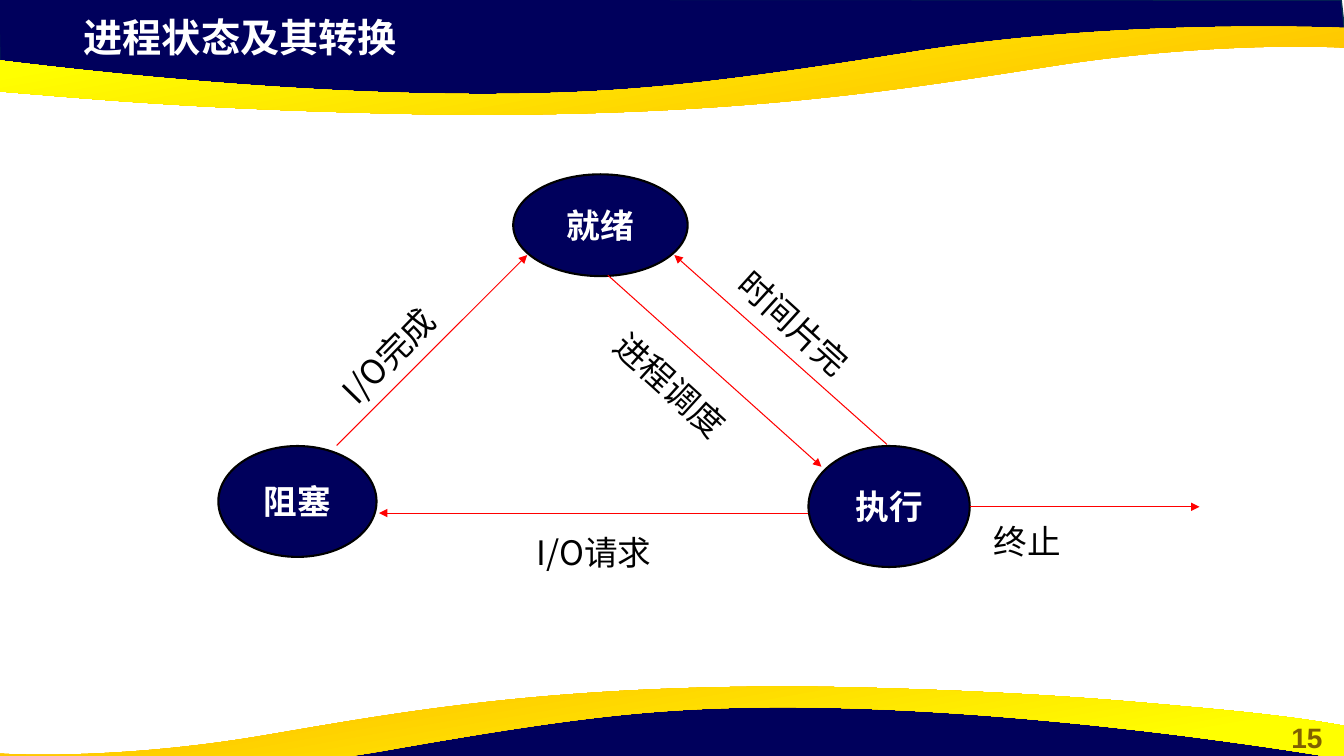
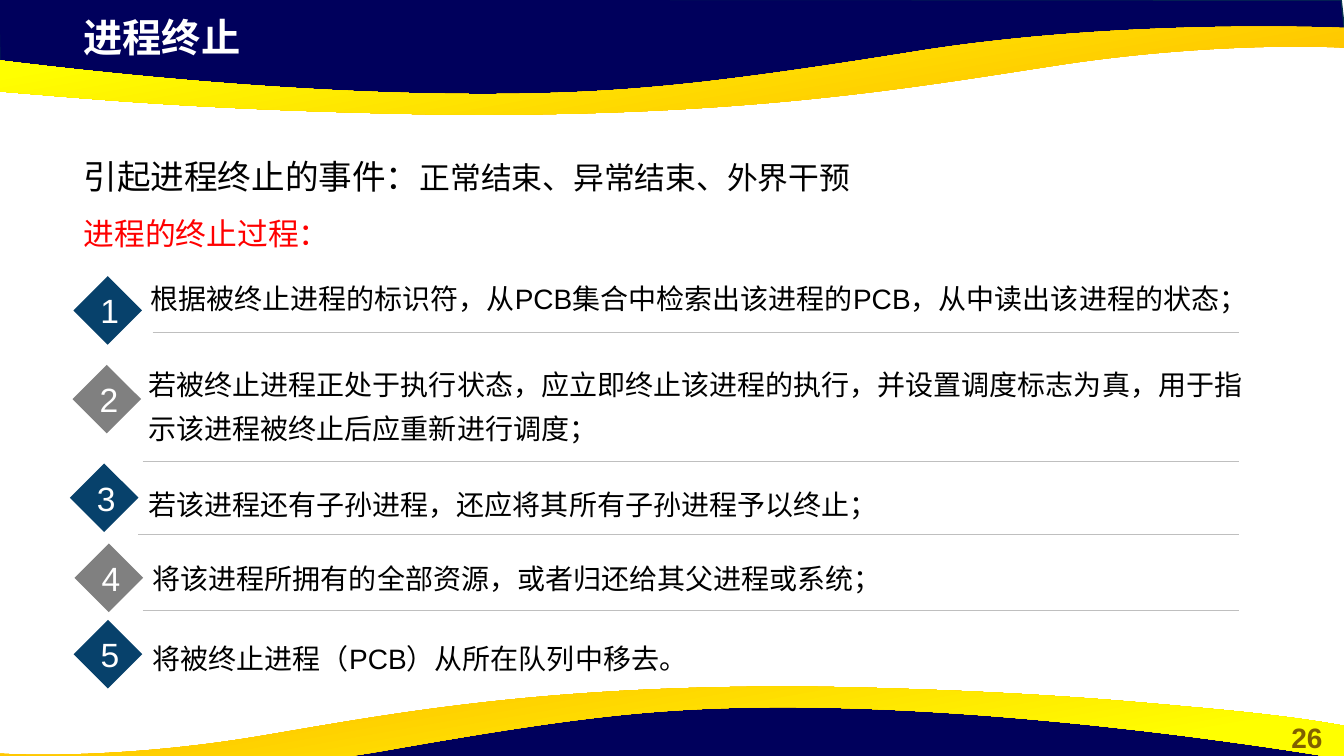
from lxml import etree
from pptx import Presentation
from pptx.dml.color import RGBColor
from pptx.enum.shapes import MSO_CONNECTOR, MSO_SHAPE
from pptx.enum.text import MSO_ANCHOR, PP_ALIGN
from pptx.oxml.ns import qn
from pptx.util import Pt

STRAIGHT = MSO_CONNECTOR.STRAIGHT
ELLIPSE, DIAMOND = MSO_SHAPE.OVAL, MSO_SHAPE.DIAMOND
TOP, MIDDLE, BOTTOM = MSO_ANCHOR.TOP, MSO_ANCHOR.MIDDLE, MSO_ANCHOR.BOTTOM
LEFT, CENTER = PP_ALIGN.LEFT, PP_ALIGN.CENTER

COLORS = {
    "navy": "00005C", "navy_edge": "05304F", "orange": "FFC000", "yellow": "FFFF00",
    "number": "806000", "white": "FFFFFF", "black": "000000", "red": "FF0000",
    "blue": "07416B", "gray": "808080", "rule": "BFBFBF",
}
LATIN, CHINESE = "Arial", "Noto Sans CJK SC"
SLIDE_WIDTH, SLIDE_HEIGHT = 960, 540
DIAMOND_SIZE = 49
RULE_RIGHT = 885.2

# An outline is a list of segments, each a list of points:
# one point gives a straight line, three give a cubic curve.
NAVY_BAND = [
    [(-1, -1)], [(0, 50)], [(211, 73)], [(402, 72)], [(572, 63)], [(732, 36)],
    [(891, 24)], [(961, 27)], [(958, 0)],
]
GOLD_BAND = [
    [(348, 82)],
    [(319, 82), (289, 81.5), (256.5, 80.5)],
    [(148.5, 77.5), (79, 72), (26, 67.5)],
    [(-63.5, 60.5), (-93.5, 54), (-96, 54)],
    [(-96, 30)],
    [(-96, 30), (157, 70.5), (372, 67)],
    [(451, 65.5), (510, 60), (659, 36)],
    [(807, 13), (960, 20), (960, 20)],
    [(960, 34)],
    [(957.5, 34)],
    [(939.5, 33), (860.5, 31), (759.5, 46)],
    [(661, 61), (548.5, 81.5), (348, 82)],
]

STATES = [
    ("就绪", 366.6, 124.5, 124.6, 72.7),
    ("执行", 577.5, 318.6, 115.2, 86.4),
    ("阻塞", 156, 318.6, 113, 79.2),
]
# Start, end, line width
TRANSITIONS = [
    ((633.6, 317.5), (481.7, 182.2), 0.75),
    ((434.2, 196.6), (586.8, 333.4), 0.75),
    ((240.5, 318.2), (376.6, 182.2), 0.75),
    ((577.4, 366.5), (270.7, 366.5), 0.5),
    ((692.6, 362), (856.8, 362), 0.75),
]
# Text, left, top, width, rotation
TRANSITION_LABELS = [
    ("I/O完成", 223.5, 222, 135.4, 314.3),
    ("I/O请求", 376.2, 376.6, 162.7, 0),
    ("进程调度", 417.6, 272.9, 158.4, 42.2),
    ("时间片完", 507.8, 223.9, 142.6, 42.4),
    ("终止", 702.7, 368.6, 115.2, 0),
]
# Text, text box, diamond corner, line spacing, start of the rule below
STEPS = [
    ("根据被终止进程的标识符，从PCB集合中检索出该进程的PCB，从中读出该进程的状态；",
     (100.1, 184, 812.2, 44.6), (52.4, 197.2), 1.32, (109, 237.4)),
    ("若被终止进程正处于执行状态，应立即终止该进程的执行，并设置调度标志为真，"
     "用于指示该进程被终止后应重新进行调度；",
     (99, 253.8, 812.2, 67.7), (51.8, 260.6), 1.32, (102, 329.5)),
    ("若该进程还有子孙进程，还应将其所有子孙进程予以终止；",
     (98.9, 332.6, 810.7, 43.2), (49.9, 331), 1.32, (98.6, 381.5)),
    ("将该进程所拥有的全部资源，或者归还给其父进程或系统；",
     (102, 387.7, 783.4, 41), (53.2, 388.2), 1.32, (102, 435.6)),
    ("将被终止进程（PCB）从所在队列中移去。",
     (102, 452, 475.2, 33.8), (52.6, 442.8), 1, None),
]


def rgb(name):
    return RGBColor.from_string(COLORS[name])


def style_paragraph(paragraph, size, color, bold=False, align=LEFT, spacing=1, latin=LATIN):
    paragraph.alignment = align
    paragraph.line_spacing = spacing
    font = paragraph.font
    font.size, font.bold, font.name = Pt(size), bold, latin
    font.color.rgb = rgb(color)
    properties = paragraph._p.pPr.find(qn("a:defRPr"))
    etree.SubElement(properties, qn("a:ea"), typeface=CHINESE)


def add_text(slide, text, box, size, color, anchor=TOP, rotation=0, **style):
    shape = slide.shapes.add_textbox(*map(Pt, box))
    shape.rotation = rotation
    frame = shape.text_frame
    frame.word_wrap = True
    frame.vertical_anchor = anchor
    frame.text = text
    style_paragraph(frame.paragraphs[0], size, color, **style)
    return frame


def paint(shape, fill, outline=None, outline_width=1):
    shape.shadow.inherit = False
    shape.fill.solid()
    shape.fill.fore_color.rgb = rgb(fill)
    if outline:
        shape.line.color.rgb = rgb(outline)
        shape.line.width = Pt(outline_width)
    else:
        shape.line.fill.background()


def add_labelled_shape(slide, kind, text, box, **style):
    shape = slide.shapes.add_shape(kind, *map(Pt, box))
    frame = shape.text_frame
    frame.vertical_anchor = MIDDLE
    frame.text = text
    style_paragraph(frame.paragraphs[0], 24, "white", align=CENTER, **style)
    return shape


def add_state(slide, text, box):
    shape = add_labelled_shape(slide, ELLIPSE, text, box, bold=True, latin=CHINESE)
    paint(shape, "navy", "black", 1.5)
    frame = shape.text_frame
    frame.margin_left = frame.margin_right = frame.margin_top = frame.margin_bottom = 0


def add_line(slide, start, end, color, width, arrow=False):
    connector = slide.shapes.add_connector(STRAIGHT, *map(Pt, start + end))
    connector.line.color.rgb = rgb(color)
    connector.line.width = Pt(width)
    if arrow:
        etree.SubElement(connector.line._get_or_add_ln(), qn("a:tailEnd"), type="triangle")
    etree.SubElement(connector._element.spPr, qn("a:effectLst"))


def add_outline(slide, segments):
    """Build a closed outline and merge each group of three points into a cubic curve."""
    start, *corners = [(Pt(x), Pt(y)) for segment in segments for x, y in segment]
    builder = slide.shapes.build_freeform(*start)
    builder.add_line_segments(corners, close=True)
    shape = builder.convert_to_shape()
    lines = iter(list(shape._element.iter(qn("a:lnTo"))))
    for segment in segments[1:]:
        first, *others = [next(lines) for _ in segment]
        if others:
            first.tag = qn("a:cubicBezTo")
            for line in others:
                first.append(line[0])
                line.getparent().remove(line)
    return shape


def turn_half(segments, right, bottom, scale=1):
    return [[(right - x * scale, bottom - y) for x, y in segment] for segment in segments]


def add_wave(slide, navy_band, gold_band, angle):
    paint(add_outline(slide, navy_band), "navy", "navy_edge")
    gold = add_outline(slide, gold_band)
    gold.shadow.inherit = False
    gold.line.fill.background()
    gold.fill.gradient()
    gold.fill.gradient_angle = angle
    stops = (("orange", 0.11), ("yellow", 0.78))
    for stop, (color, position) in zip(gold.fill.gradient_stops, stops):
        stop.color.rgb = rgb(color)
        stop.position = position


def add_framed_slide(presentation, title, number):
    """Add a slide with the waves, the page number and the title."""
    slide = presentation.slides.add_slide(presentation.slide_layouts[6])
    add_wave(slide, NAVY_BAND, GOLD_BAND, 100)
    add_wave(slide, turn_half(NAVY_BAND, 959.2, 571.2),
             turn_half(GOLD_BAND, 872.7, 572.4, 10 / 11), 280)
    add_text(slide, number, (907.2, 511, 52.6, 31.7), 20, "number", bold=True, align=CENTER)
    add_text(slide, title, (52.6, 6, 553, 41), 28, "white", bold=True)
    return slide


def build_state_slide(presentation):
    slide = add_framed_slide(presentation, "进程状态及其转换", "15")
    for text, *box in STATES:
        add_state(slide, text, box)
    for start, end, width in TRANSITIONS:
        add_line(slide, start, end, "red", width, arrow=True)
    for text, left, top, width, rotation in TRANSITION_LABELS:
        add_text(slide, text, (left, top, width, 36), 24, "black",
                 rotation=rotation, latin=CHINESE)


def build_termination_slide(presentation):
    slide = add_framed_slide(presentation, "进程终止", "26")
    frame = add_text(slide, "引起进程终止的事件：", (52.6, 93.6, 722.9, 97.9), 24, "black",
                     spacing=1.5)
    events = frame.paragraphs[0].add_run()
    events.text = "正常结束、异常结束、外界干预"
    events.font.size = Pt(22)
    heading = frame.add_paragraph()
    heading.text = "进程的终止过程："
    style_paragraph(heading, 22, "red", spacing=1.5)

    for number, (text, box, corner, spacing, rule_start) in enumerate(STEPS, 1):
        diamond = add_labelled_shape(slide, DIAMOND, str(number),
                                     corner + (DIAMOND_SIZE, DIAMOND_SIZE))
        paint(diamond, "blue" if number % 2 else "gray")
        add_text(slide, text, box, 20, "black", anchor=BOTTOM, spacing=spacing)
        if rule_start:
            add_line(slide, rule_start, (RULE_RIGHT, rule_start[1]), "rule", 0.25)


def main():
    presentation = Presentation()
    presentation.slide_width, presentation.slide_height = Pt(SLIDE_WIDTH), Pt(SLIDE_HEIGHT)
    build_state_slide(presentation)
    build_termination_slide(presentation)
    presentation.save("out.pptx")


if __name__ == "__main__":
    main()
